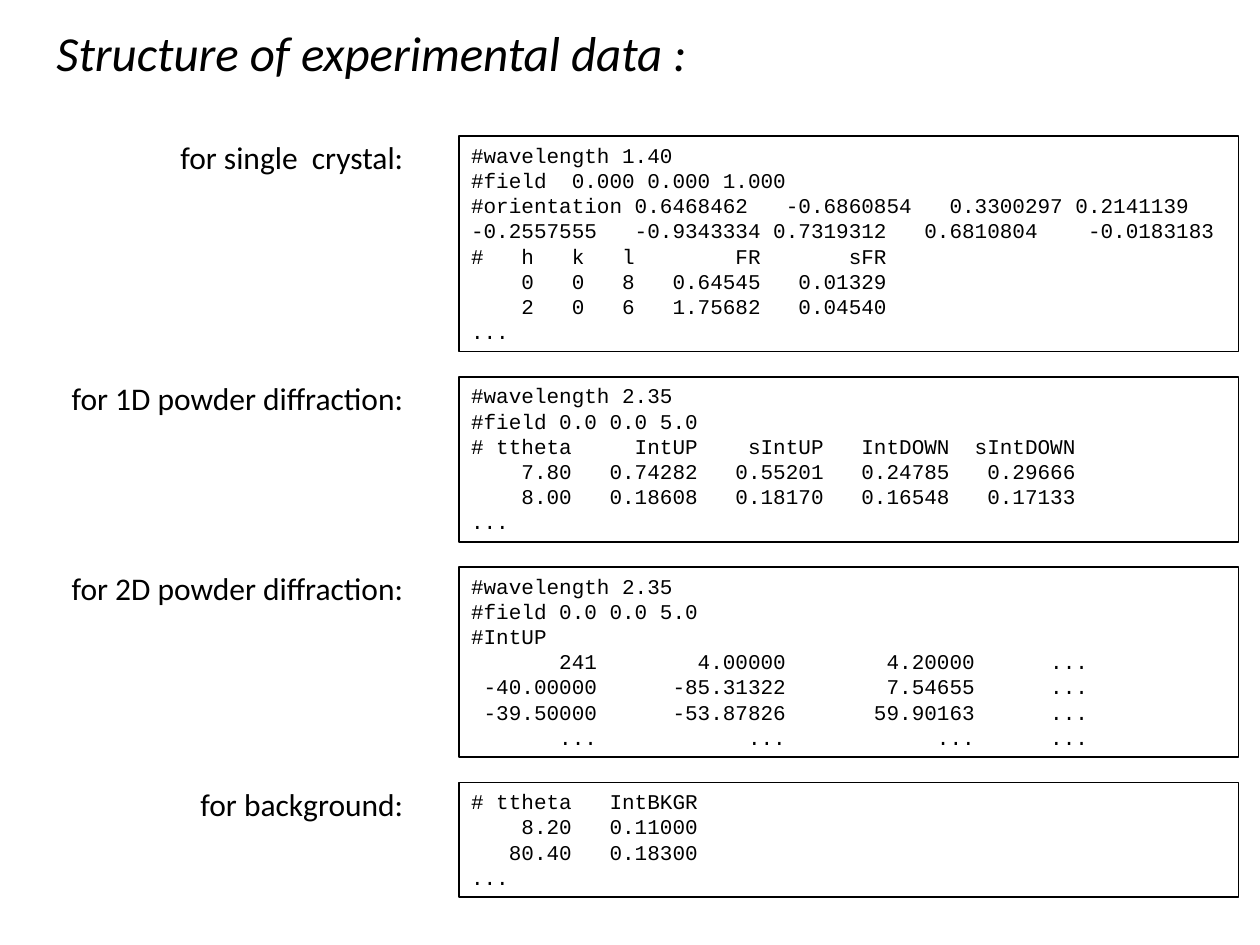
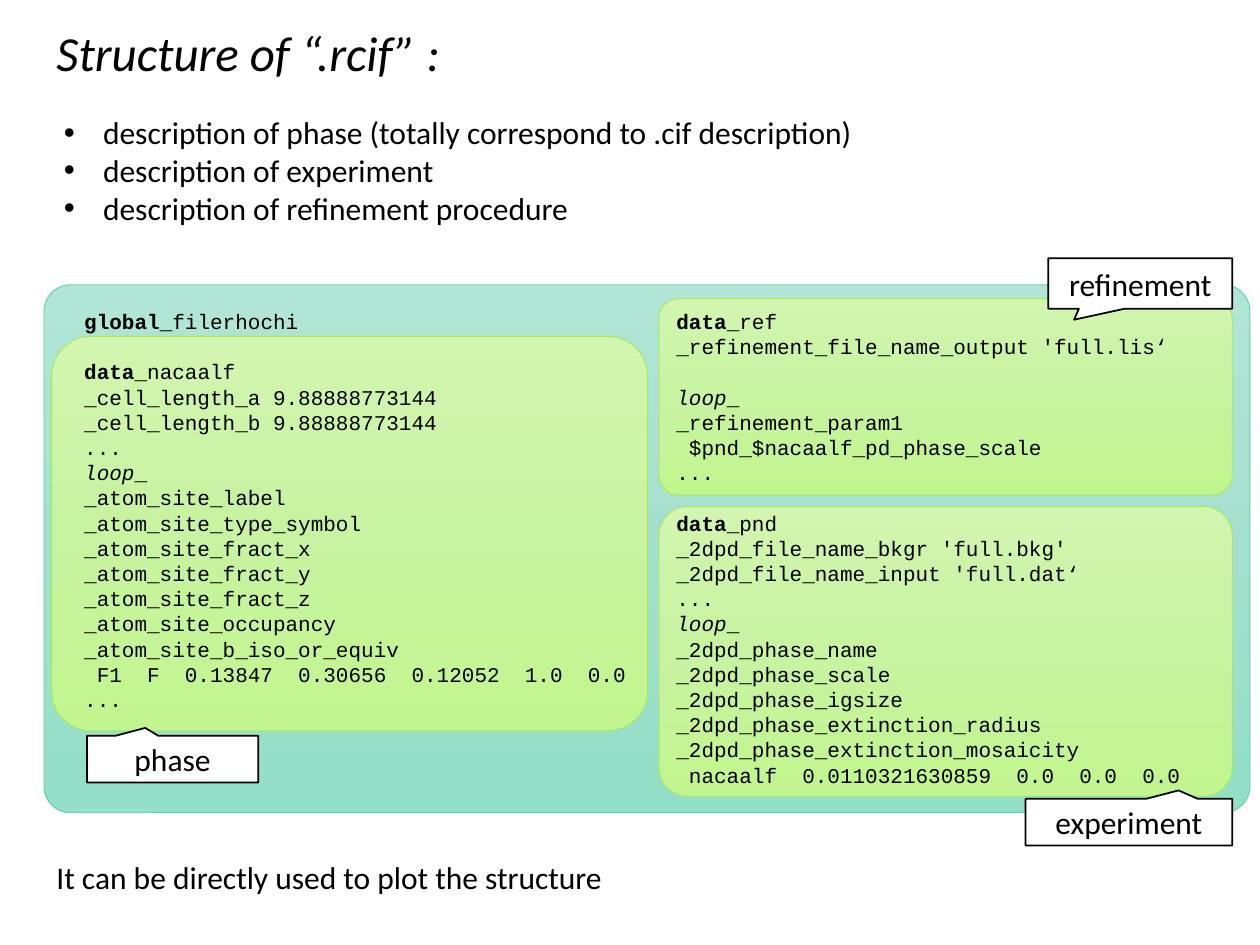
from copy import deepcopy
from dataclasses import dataclass

from lxml import etree
from pptx import Presentation
from pptx.dml.color import RGBColor
from pptx.enum.shapes import MSO_SHAPE
from pptx.enum.text import MSO_ANCHOR, PP_ALIGN
from pptx.oxml.ns import qn
from pptx.shapes.autoshape import Shape
from pptx.slide import Slide
from pptx.util import Inches, Pt

RECTANGLE = MSO_SHAPE.RECTANGLE
ROUNDED = MSO_SHAPE.ROUNDED_RECTANGLE
CALLOUT = MSO_SHAPE.RECTANGULAR_CALLOUT
LEFT, CENTER, RIGHT = PP_ALIGN.LEFT, PP_ALIGN.CENTER, PP_ALIGN.RIGHT
TOP, MIDDLE = MSO_ANCHOR.TOP, MSO_ANCHOR.MIDDLE

BLACK, WHITE = "000000", "FFFFFF"
TEAL, TEAL_LINE = ("B1E5D5", "A4E0CD", "93DFC7"), "5DCEAF"
GREEN, GREEN_LINE = ("D2F5AF", "C8F3A0", "C2F58F"), "A7EA52"
CODE_PITCH = Pt(14.4)


@dataclass(frozen=True)
class Box:
    """Position and size in inches."""
    left: float
    top: float
    width: float
    height: float


@dataclass(frozen=True)
class TextStyle:
    """Font and paragraph settings of a text block."""
    font: str = "Calibri"
    size: float = 18
    italic: bool = False
    align: PP_ALIGN = LEFT
    spacing: float | Pt | None = None
    bullet: bool = False


@dataclass(frozen=True)
class Line:
    """A line of text with an optional emphasised keyword in front."""
    text: str
    bold: str = ""
    italic: str = ""
    gap: bool = False


@dataclass(frozen=True)
class Sample:
    """A labelled listing of a data file."""
    label: str
    rows: int
    lines: tuple[str, ...]


@dataclass(frozen=True)
class Panel:
    """A rounded gradient panel."""
    box: Box
    radius: float
    colors: tuple[str, str, str]
    outline: str


@dataclass(frozen=True)
class Callout:
    """A captioned callout with its pointer offset."""
    text: str
    box: Box
    pointer: tuple[float, float]


TITLE = TextStyle(size=28, italic=True, spacing=0.9)
BODY = TextStyle()
LABEL = TextStyle(align=RIGHT)
CAPTION = TextStyle(align=CENTER)
BULLET = TextStyle(bullet=True)
CODE = TextStyle("Courier New", 12, spacing=CODE_PITCH)

SAMPLES = (
    Sample("for single  crystal:", 8, (
        "#wavelength 1.40",
        "#field  0.000 0.000 1.000",
        "#orientation 0.6468462   -0.6860854   0.3300297 0.2141139   "
        "-0.2557555   -0.9343334 0.7319312   0.6810804    -0.0183183",
        "#   h   k   l        FR       sFR",
        "    0   0   8   0.64545   0.01329",
        "    2   0   6   1.75682   0.04540",
        "...")),
    Sample("for 1D powder diffraction:", 6, (
        "#wavelength 2.35",
        "#field 0.0 0.0 5.0",
        "# ttheta     IntUP    sIntUP   IntDOWN  sIntDOWN",
        "    7.80   0.74282   0.55201   0.24785   0.29666",
        "    8.00   0.18608   0.18170   0.16548   0.17133",
        "...")),
    Sample("for 2D powder diffraction:", 7, (
        "#wavelength 2.35",
        "#field 0.0 0.0 5.0",
        "#IntUP",
        "       241        4.00000        4.20000      ...",
        " -40.00000      -85.31322        7.54655      ...",
        " -39.50000      -53.87826       59.90163      ...",
        "       ...            ...            ...      ...")),
    Sample("for background:", 4, (
        "# ttheta   IntBKGR",
        "    8.20   0.11000",
        "   80.40   0.18300",
        "...")),
)

PHASE_LINES = (
    Line("_filerhochi", bold="global"),
    Line("_nacaalf", bold="data", gap=True),
    Line("_cell_length_a 9.88888773144"),
    Line("_cell_length_b 9.88888773144"),
    Line("..."),
    Line("_", italic="loop"),
    Line("_atom_site_label"),
    Line("_atom_site_type_symbol"),
    Line("_atom_site_fract_x"),
    Line("_atom_site_fract_y"),
    Line("_atom_site_fract_z"),
    Line("_atom_site_occupancy"),
    Line("_atom_site_b_iso_or_equiv"),
    Line(" F1  F  0.13847  0.30656  0.12052  1.0  0.0"),
    Line("..."),
)
REFINEMENT_LINES = (
    Line("_ref", bold="data"),
    Line("_refinement_file_name_output 'full.lis‘"),
    Line("_", italic="loop", gap=True),
    Line("_refinement_param1"),
    Line(" $pnd_$nacaalf_pd_phase_scale"),
    Line("..."),
)
EXPERIMENT_LINES = (
    Line("_pnd", bold="data", gap=True),
    Line("_2dpd_file_name_bkgr 'full.bkg'"),
    Line("_2dpd_file_name_input 'full.dat‘"),
    Line("..."),
    Line("_", italic="loop"),
    Line("_2dpd_phase_name"),
    Line("_2dpd_phase_scale"),
    Line("_2dpd_phase_igsize"),
    Line("_2dpd_phase_extinction_radius"),
    Line("_2dpd_phase_extinction_mosaicity"),
    Line(" nacaalf  0.0110321630859  0.0  0.0  0.0"),
)

PANELS = (
    Panel(Box(0.35, 2.26, 9.57, 4.19), 0.05, TEAL, TEAL_LINE),
    Panel(Box(5.23, 2.37, 4.55, 1.56), 0.1, GREEN, GREEN_LINE),
    Panel(Box(5.23, 4.02, 4.55, 2.3), 0.1, GREEN, GREEN_LINE),
    Panel(Box(0.41, 2.67, 4.73, 3.13), 0.1, GREEN, GREEN_LINE),
)
CALLOUTS = (
    Callout("phase", Box(0.69, 5.84, 1.36, 0.37), (-0.16, -0.67)),
    Callout("refinement", Box(8.32, 2.05, 1.46, 0.4), (-0.36, 0.72)),
    Callout("experiment", Box(8.14, 6.34, 1.64, 0.37), (0.24, -0.68)),
)


def rgb(color: str) -> RGBColor:
    """Turn a hex string into a colour."""
    return RGBColor.from_string(color)


def emu(box: Box) -> tuple[Inches, ...]:
    """Convert a box to lengths."""
    return tuple(Inches(value) for value in (box.left, box.top, box.width, box.height))


def write(shape: Shape, lines: tuple[Line, ...], style: TextStyle, anchor: MSO_ANCHOR = TOP) -> None:
    """Fill a shape with styled lines, run by run."""
    frame = shape.text_frame
    frame.word_wrap = True
    frame.vertical_anchor = anchor
    for index, line in enumerate(lines):
        paragraph = frame.paragraphs[0] if index == 0 else frame.add_paragraph()
        paragraph.alignment = style.align
        if style.spacing:
            paragraph.line_spacing = style.spacing
        if line.gap:
            paragraph.space_before = CODE_PITCH
        if style.bullet:
            add_bullet(paragraph._p.get_or_add_pPr())
        for text, bold, italic in ((line.bold, True, False), (line.italic, False, True),
                                   (line.text, False, style.italic)):
            if text:
                run = paragraph.add_run()
                run.text = text
                run.font.name = style.font
                run.font.size = Pt(style.size)
                run.font.bold = bold
                run.font.italic = italic
                run.font.color.rgb = rgb(BLACK)


def add_bullet(properties: etree._Element) -> None:
    """Give a paragraph a hanging round bullet."""
    indent = Inches(0.31)
    properties.set("marL", str(indent))
    properties.set("indent", str(-indent))
    etree.SubElement(properties, qn("a:buFont")).set("typeface", "Arial")
    etree.SubElement(properties, qn("a:buChar")).set("char", "•")


def add_text(slide: Slide, box: Box, lines: tuple[Line, ...], style: TextStyle,
             anchor: MSO_ANCHOR = TOP) -> None:
    """Add a text box."""
    write(slide.shapes.add_textbox(*emu(box)), lines, style, anchor)


def add_outlined(slide: Slide, kind: MSO_SHAPE, box: Box, outline: str, weight: float) -> Shape:
    """Add a white shape with an outline and no shadow."""
    shape = slide.shapes.add_shape(kind, *emu(box))
    shape.shadow.inherit = False
    shape.fill.solid()
    shape.fill.fore_color.rgb = rgb(WHITE)
    shape.line.color.rgb = rgb(outline)
    shape.line.width = Pt(weight)
    return shape


def add_panel(slide: Slide, panel: Panel) -> None:
    """Add a rounded panel with a three-stop vertical gradient."""
    shape = add_outlined(slide, ROUNDED, panel.box, panel.outline, 0.5)
    shape.adjustments[0] = panel.radius
    shape.fill.gradient()
    shape.fill.gradient_angle = 270
    stop_list = shape._element.spPr.find(".//" + qn("a:gsLst"))
    stop_list.insert(1, deepcopy(stop_list[0]))
    for index, (stop, color) in enumerate(zip(shape.fill.gradient_stops, panel.colors)):
        stop.position = index / 2
        stop.color.rgb = rgb(color)


def add_callout(slide: Slide, callout: Callout) -> None:
    """Add a captioned callout."""
    shape = add_outlined(slide, CALLOUT, callout.box, BLACK, 1)
    for index, offset in enumerate(callout.pointer):
        shape.adjustments[index] = offset
    write(shape, (Line(callout.text),), CAPTION, MIDDLE)


def add_titled_slide(presentation: Presentation, title: str) -> Slide:
    """Add a blank slide with the shared title."""
    slide = presentation.slides.add_slide(presentation.slide_layouts[6])
    add_text(slide, Box(0.35, 0.05, 9.37, 0.79), (Line(title),), TITLE, MIDDLE)
    return slide


def build_data_slide(presentation: Presentation) -> None:
    """Stack the labelled data listings with equal gaps."""
    slide = add_titled_slide(presentation, "Structure of experimental data :")
    top = 1.08
    for sample in SAMPLES:
        height = 0.11 + 0.2 * sample.rows
        add_text(slide, Box(0.3, top - 0.03, 3.0, 0.4), (Line(sample.label),), LABEL)
        shape = add_outlined(slide, RECTANGLE, Box(3.64, top, 6.19, height), BLACK, 1)
        write(shape, tuple(Line(text) for text in sample.lines), CODE)
        top += height + 0.2


def build_rcif_slide(presentation: Presentation) -> None:
    """Show the sections of the rcif file."""
    slide = add_titled_slide(presentation, "Structure of “.rcif” :")
    for panel in PANELS:
        add_panel(slide, panel)
    add_text(slide, Box(0.57, 2.4, 4.7, 4.34), PHASE_LINES, CODE)
    add_text(slide, Box(5.27, 2.4, 4.7, 4.34), REFINEMENT_LINES + EXPERIMENT_LINES, CODE)
    for callout in CALLOUTS:
        add_callout(slide, callout)
    add_text(slide, Box(0.35, 6.76, 4.8, 0.4),
             (Line("It can be directly used to plot the structure"),), BODY)
    add_text(slide, Box(0.41, 0.85, 6.8, 1.01),
             (Line("description of phase (totally correspond to .cif description)"),
              Line("description of experiment"),
              Line("description of refinement procedure")), BULLET)


presentation = Presentation()
presentation.slide_width, presentation.slide_height = Inches(10), Inches(7.5)
build_data_slide(presentation)
build_rcif_slide(presentation)
presentation.save("out.pptx")
